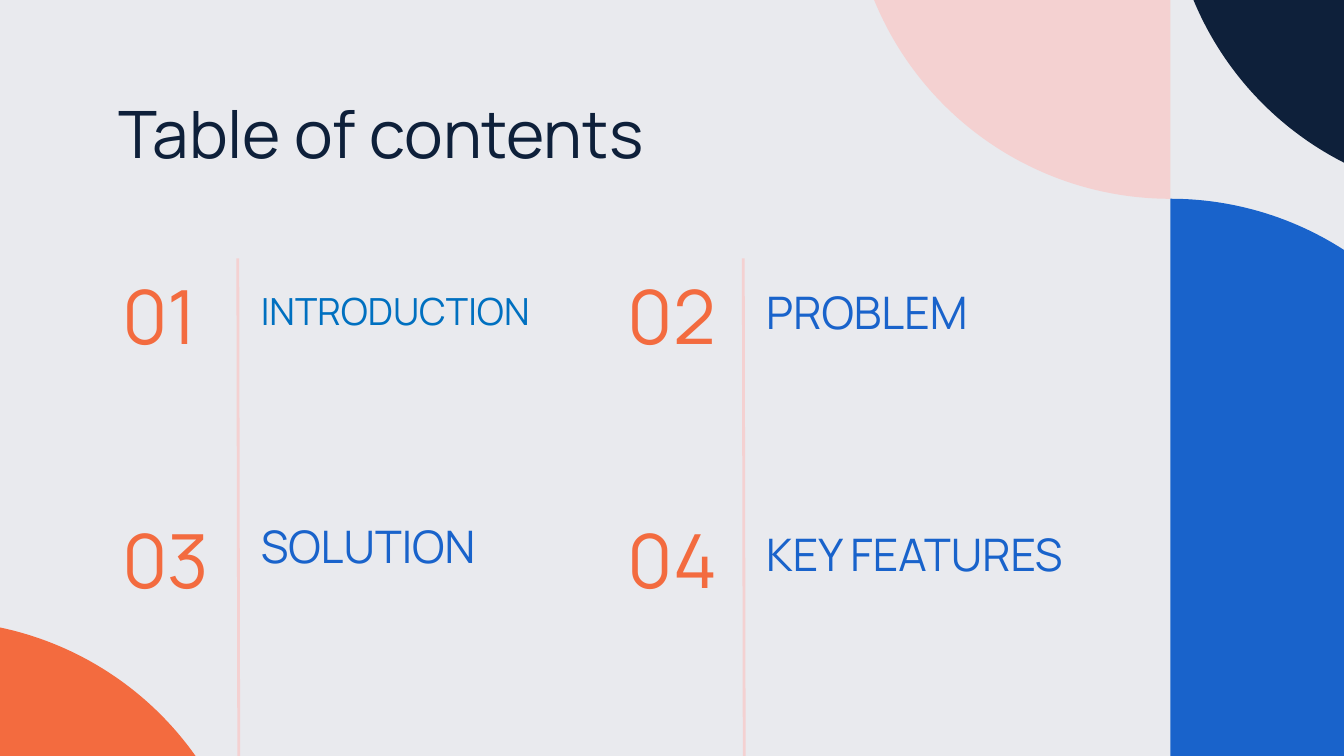
import math

from lxml import etree
from pptx import Presentation
from pptx import util as u
from pptx.dml import color
from pptx.enum import shapes, text
from pptx.oxml import ns

Pt = u.Pt
FONT = "Manrope"
NAVY, PINK, BLUE, ORANGE = "0E203A", "F4D1D1", "1963CB", "F36B3F"
RADIUS = 171.5


def paint(target, hex_colour):
    """Give a fill, or a font's or line's fill, a solid colour."""
    target.solid()
    target.fore_color.rgb = color.RGBColor.from_string(hex_colour)


def write(shape, words, size, hex_colour, anchor):
    """Put one left-aligned line of formatted text in a shape."""
    frame = shape.text_frame
    frame.text = words
    frame.word_wrap = True
    frame.auto_size = text.MSO_AUTO_SIZE.NONE
    frame.vertical_anchor = anchor
    frame.margin_left = frame.margin_right = Pt(7.2)
    frame.margin_top = frame.margin_bottom = Pt(7.2)
    paragraph = frame.paragraphs[0]
    paragraph.alignment = text.PP_ALIGN.LEFT
    font = paragraph.runs[0].font
    font.name, font.size = FONT, Pt(size)
    paint(font.fill, hex_colour)


def add_label(slide, box, words, size, hex_colour):
    """Add a vertically centred text box."""
    label = slide.shapes.add_textbox(*map(Pt, box))
    write(label, words, size, hex_colour, text.MSO_ANCHOR.MIDDLE)


def add_half_disc(slide, centre, start_angle, hex_colour):
    """Draw half a disc, clockwise from the start angle, as one arc and its chord."""
    x, y = centre
    points = []
    for angle in map(math.radians, (start_angle, start_angle + 90, start_angle + 180)):
        points.append((Pt(x + RADIUS * math.cos(angle)), Pt(y + RADIUS * math.sin(angle))))
    builder = slide.shapes.build_freeform(*points[0])
    builder.add_line_segments(points[1:], close=True)
    disc = builder.convert_to_shape()
    outline = next(disc._element.iter(ns.qn("a:path")))
    for segment in outline.findall(ns.qn("a:lnTo")):
        outline.remove(segment)
    radius = str(Pt(RADIUS))
    arc = etree.Element(ns.qn("a:arcTo"), wR=radius, hR=radius,
                        stAng=str(start_angle * 60000), swAng=str(180 * 60000))
    outline.insert(1, arc)
    disc.shadow.inherit = False
    paint(disc.fill, hex_colour)
    disc.line.fill.background()


def add_decoration(slide):
    """Place the half discs along the slide edges."""
    for centre, start_angle, hex_colour in (
        ((797.8, -65.7), 90, NAVY),
        ((627, -65), 90, PINK),
        ((627, 278), 270, BLUE),
        ((-35.3, 504), 180, ORANGE),
    ):
        add_half_disc(slide, centre, start_angle, hex_colour)


def add_title(slide, box):
    """Move and format the title placeholder."""
    title = slide.shapes.title
    title.left, title.top, title.width, title.height = map(Pt, box)
    write(title, "Table of contents", 35, NAVY, text.MSO_ANCHOR.TOP)


def add_divider(slide, x, top, bottom, slant):
    """Add a rule beside a column of numbers."""
    divider = slide.shapes.add_connector(
        shapes.MSO_CONNECTOR.STRAIGHT, Pt(x), Pt(top), Pt(x + slant), Pt(bottom))
    paint(divider.line.fill, PINK)
    divider.line.width = Pt(1.5)
    etree.SubElement(divider._element.spPr, ns.qn("a:effectLst"))


def add_contents(slide, box):
    """Lay out the numbered sections in two columns and two rows."""
    left, top, width, height = box
    column_pitch, row_pitch = width / 2, height / 2
    sections = (
        ("INTRODUCTION", 20, "0070C0", 0, 41.8),
        ("PROBLEM", 24, BLUE, -10, 62.6),
        ("SOLUTION", 24, BLUE, 8.8, 15.1),
        ("KEY FEATURES", 24, BLUE, 0, 41.8),
    )
    for index, (heading, size, hex_colour, shift, heading_height) in enumerate(sections):
        row, column = divmod(index, 2)
        x, y = left + column * column_pitch, top + row * row_pitch
        add_label(slide, (x, y, 63.4, 46.8), f"{index + 1:02}", 40, ORANGE)
        add_label(slide, (x + 74.2, y + shift, 180.7, heading_height), heading, size, hex_colour)
    for column in range(2):
        add_divider(slide, left + 69 + column * column_pitch, top - 7, 405, 0.5)


def main():
    """Build and save the presentation."""
    presentation = Presentation()
    presentation.slide_width, presentation.slide_height = Pt(720), Pt(405)
    slide = presentation.slides.add_slide(presentation.slide_layouts[5])
    paint(slide.background.fill, "E9EAEE")
    add_decoration(slide)
    add_title(slide, (56.2, 42.5, 607.7, 45.4))
    add_contents(slide, (58.4, 145.4, 541.6, 260.6))
    presentation.save("out.pptx")


if __name__ == "__main__":
    main()
